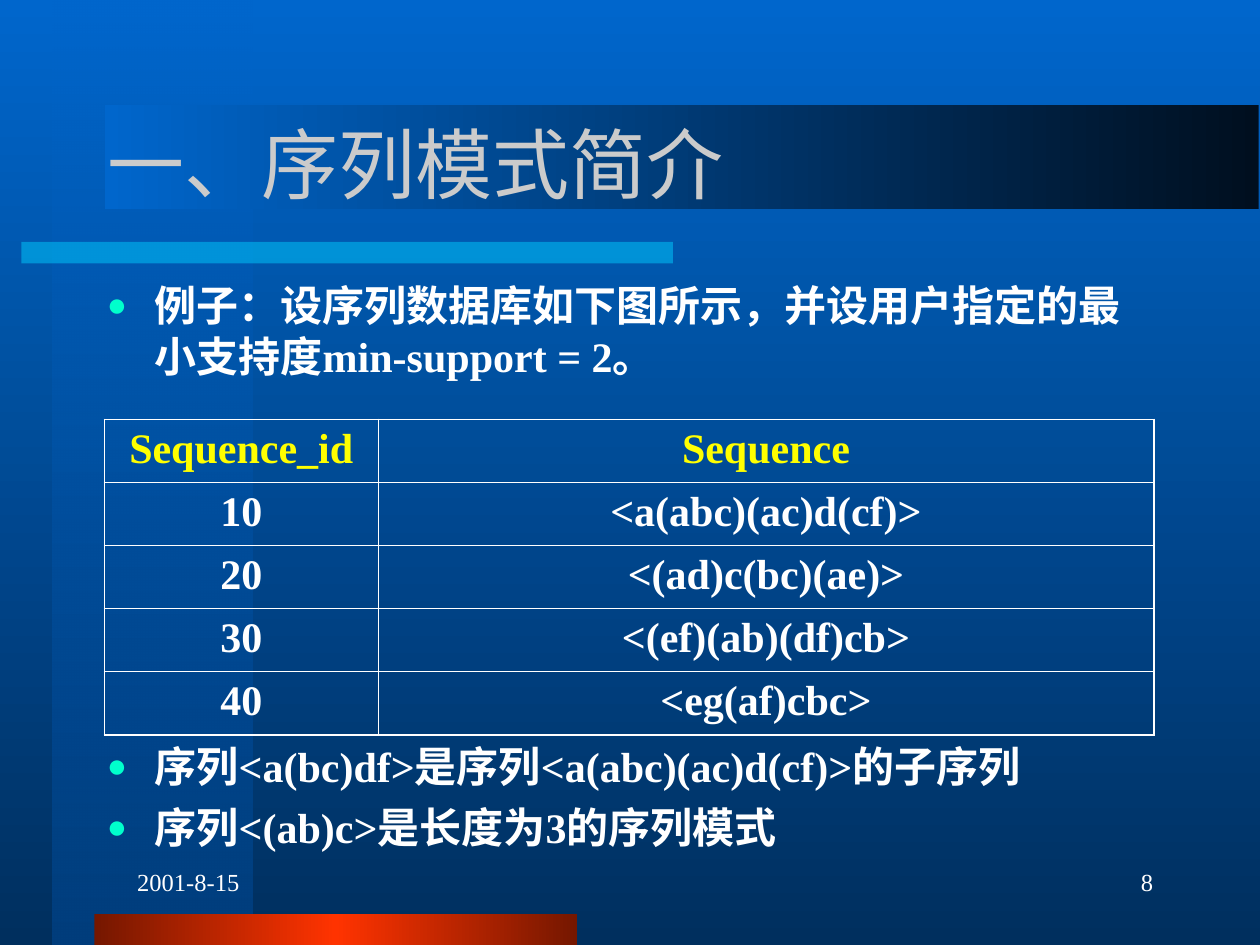
from lxml import etree
from pptx import Presentation
from pptx.dml.color import RGBColor
from pptx.enum.shapes import MSO_SHAPE
from pptx.enum.text import MSO_ANCHOR, MSO_AUTO_SIZE, PP_ALIGN
from pptx.oxml.ns import qn
from pptx.util import Inches, Pt

RECTANGLE = MSO_SHAPE.RECTANGLE
MIDDLE, TOP = MSO_ANCHOR.MIDDLE, MSO_ANCHOR.TOP
LEFT, CENTER, RIGHT = PP_ALIGN.LEFT, PP_ALIGN.CENTER, PP_ALIGN.RIGHT
NO_AUTOFIT = MSO_AUTO_SIZE.NONE
TITLE_ONLY = 5

LATIN, CJK = "Times New Roman", "Noto Sans CJK SC"
WHITE, YELLOW, SILVER, MINT = "FFFFFF", "FFFF00", "CBCBCB", "00FFCC"
BLUE, NAVY, CYAN = "0066CC", "002F5E", "00CCFF"
RED, DARK_RED = "FF3300", "751700"
OUTER_LINE, INNER_LINE = 1.08, 0.45

SEQUENCES = [
    ("Sequence_id", "Sequence"),
    ("10", "<a(abc)(ac)d(cf)>"),
    ("20", "<(ad)c(bc)(ae)>"),
    ("30", "<(ef)(ab)(df)cb>"),
    ("40", "<eg(af)cbc>"),
]
EXAMPLE = [["例子：设序列数据库如下图所示，并设用户指定的最小支持度", "min-support = 2", "。"]]
FINDINGS = [
    ["序列", "<a(bc)df>", "是序列", "<a(abc)(ac)d(cf)>", "的子序列"],
    ["序列", "<(ab)c>", "是长度为", "3", "的序列模式"],
]


def rgb(color):
    return RGBColor.from_string(color)


def add_node(parent, tag, **attributes):
    node = etree.SubElement(parent, qn(tag))
    for key, value in attributes.items():
        node.set(key, str(value))
    return node


def add_color(parent, color, opacity=100):
    node = add_node(parent, "a:srgbClr", val=color)
    if opacity < 100:
        add_node(node, "a:alpha", val=opacity * 1000)


def apply_gradient(fill, owner, stops, angle):
    """Fill with (position, colour, opacity) stops; the angle runs clockwise."""
    fill.gradient()
    gradient = next(owner.iter(qn("a:gradFill")))
    for child in list(gradient):
        gradient.remove(child)
    stop_list = add_node(gradient, "a:gsLst")
    for position, color, opacity in stops:
        stop = add_node(stop_list, "a:gs", pos=position * 1000)
        add_color(stop, color, opacity)
    add_node(gradient, "a:lin", ang=angle * 60000, scaled=0)


def add_bar(slide, box, stops, angle=0):
    bar = slide.shapes.add_shape(RECTANGLE, *map(Inches, box))
    bar.shadow.inherit = False
    bar.line.fill.background()
    apply_gradient(bar.fill, bar._element.spPr, stops, angle)


def add_backdrop(slide):
    apply_gradient(slide.background.fill, slide._element,
                   [(0, BLUE, 100), (100, NAVY, 100)], 90)
    add_bar(slide, (0.42, 0, 1.58, 7.5), [(0, BLUE, 50), (100, "003E7D", 100)], 90)
    add_bar(slide, (0.17, 1.92, 5.17, 0.17), [(0, CYAN, 50), (100, CYAN, 50)])
    add_bar(slide, (0.75, 7.25, 3.83, 0.25),
            [(0, DARK_RED, 100), (50, RED, 100), (100, DARK_RED, 100)], 180)
    add_bar(slide, (0.83, 0.83, 9.16, 0.83), [(0, "000F1F", 100), (100, BLUE, 100)], 180)


def add_run(paragraph, text, size, color, bold=False):
    run = paragraph.add_run()
    run.text = text
    font = run.font
    font.size, font.bold, font.name = Pt(size), bold, LATIN
    font.color.rgb = rgb(color)
    add_node(run._r.get_or_add_rPr(), "a:ea", typeface=CJK)


def add_title(slide, box, text):
    title = slide.shapes.title
    title.left, title.top, title.width, title.height = map(Inches, box)
    frame = title.text_frame
    frame.vertical_anchor, frame.auto_size = MIDDLE, NO_AUTOFIT
    frame.paragraphs[0].alignment = LEFT
    add_run(frame.paragraphs[0], text, 44, SILVER)
    # The title lies above the bars
    slide.shapes._spTree.append(title._element)


def add_text_frame(slide, box, anchor):
    frame = slide.shapes.add_textbox(*map(Inches, box)).text_frame
    frame.word_wrap, frame.vertical_anchor = True, anchor
    return frame


def add_bullets(slide, box, items):
    frame = add_text_frame(slide, box, TOP)
    for index, parts in enumerate(items):
        paragraph = frame.add_paragraph() if index else frame.paragraphs[0]
        paragraph.space_before = Pt(6)
        properties = paragraph._p.get_or_add_pPr()
        properties.set("marL", str(Inches(0.38)))
        properties.set("indent", str(-Inches(0.38)))
        add_color(add_node(properties, "a:buClr"), MINT)
        add_node(properties, "a:buSzPct", val=80000)
        add_node(properties, "a:buFont", typeface=LATIN)
        add_node(properties, "a:buChar", char="●")
        for part in parts:
            add_run(paragraph, part, 24, WHITE, bold=True)


def add_border(cell, side, width):
    line = add_node(cell._tc.get_or_add_tcPr(), f"a:ln{side}", w=int(Pt(width)))
    add_color(add_node(line, "a:solidFill"), WHITE)


def add_sequence_table(slide, box, rows):
    table = slide.shapes.add_table(len(rows), 2, *map(Inches, box)).table
    table.first_row = table.horz_banding = False
    table.columns[0].width = Inches(2.17)
    table.columns[1].width = Inches(box[2] - 2.17)
    last_row = len(rows) - 1
    for r, row in enumerate(rows):
        for c, text in enumerate(row):
            cell = table.cell(r, c)
            outer_sides = {"L": c == 0, "R": c == 1, "T": r == 0, "B": r == last_row}
            for side, is_outer in outer_sides.items():
                add_border(cell, side, OUTER_LINE if is_outer else INNER_LINE)
            cell.fill.background()
            paragraph = cell.text_frame.paragraphs[0]
            paragraph.alignment, paragraph.space_before = CENTER, Pt(6)
            add_run(paragraph, text, 24, WHITE if r else YELLOW, bold=True)


def add_footer(slide, box, text, alignment):
    paragraph = add_text_frame(slide, box, MIDDLE).paragraphs[0]
    paragraph.alignment = alignment
    paragraph._p.get_or_add_pPr().set("marL", str(Inches(0.24)))
    add_run(paragraph, text, 14, WHITE)


def main():
    presentation = Presentation()
    presentation.slide_width, presentation.slide_height = Inches(10), Inches(7.5)
    slide = presentation.slides.add_slide(presentation.slide_layouts[TITLE_ONLY])
    add_backdrop(slide)
    add_title(slide, (0.75, 0.67, 8.5, 1.25), "一、序列模式简介")
    add_bullets(slide, (0.75, 2.17, 8.5, 0.92), EXAMPLE)
    add_sequence_table(slide, (0.83, 3.33, 8.33, 2.5), SEQUENCES)
    add_bullets(slide, (0.75, 5.83, 8.5, 0.92), FINDINGS)
    add_footer(slide, (7.17, 6.75, 2.08, 0.5), "8", RIGHT)
    add_footer(slide, (0.75, 6.75, 2.08, 0.5), "2001-8-15", LEFT)
    presentation.save("out.pptx")


if __name__ == "__main__":
    main()
